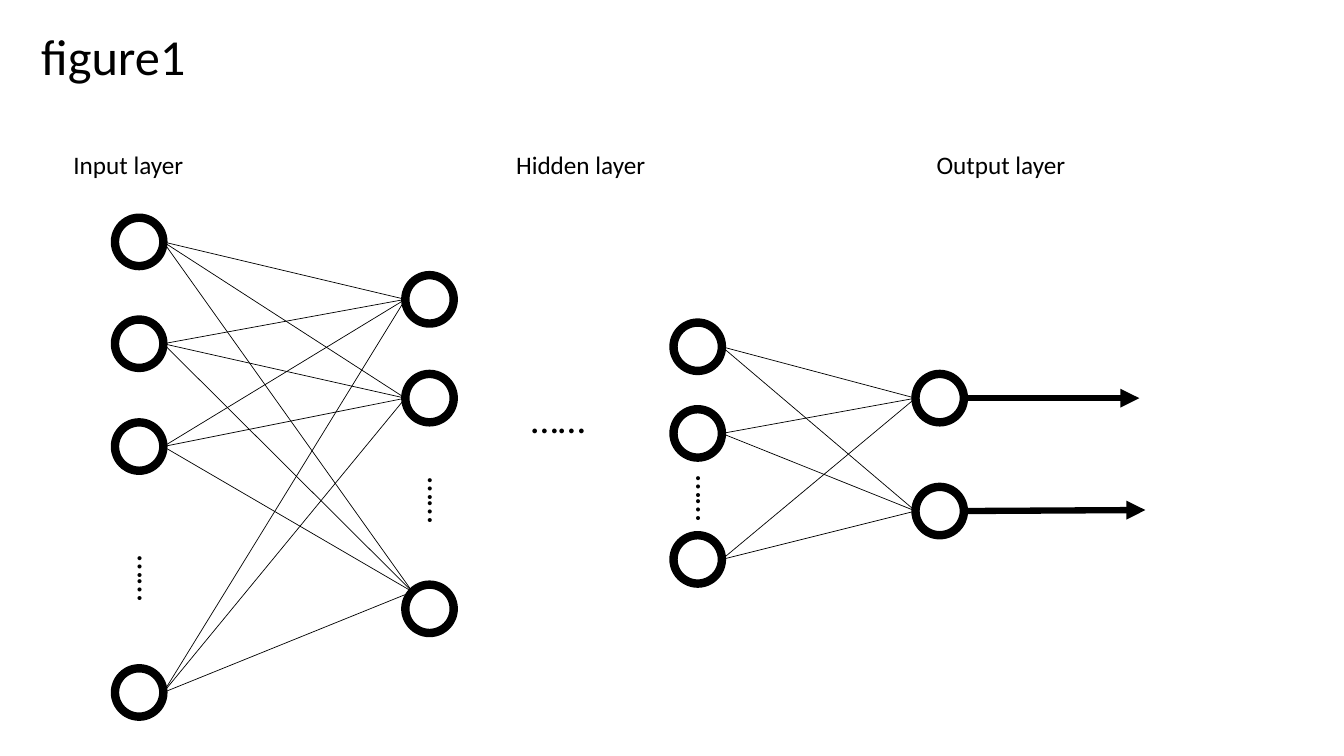
import math

import pptx
import pptx.chart.data
import pptx.dml.color
import pptx.enum.shapes
import pptx.enum.text
import pptx.oxml
import pptx.oxml.ns
import pptx.util

Inches = pptx.util.Inches
Pt = pptx.util.Pt

COLORS = {"ink": "000000"}
FONT = "Calibri"
NODE = 0.48
RADIUS = NODE / 2

# Left edge of each column of nodes and the top of every node in it
LAYERS = {
    "input": (1.14, [2.16, 3.17, 4.19, 6.63]),
    "first hidden": (4.02, [2.73, 3.71, 5.8]),
    "last hidden": (6.68, [3.2, 4.06, 5.31]),
    "output": (9.08, [3.71, 4.83]),
}


class NetworkPage:
    """Holds the style and the current slide."""

    def __init__(self, deck):
        self.page = deck.slides.add_slide(deck.slide_layouts[6])
        self.ink = pptx.dml.color.RGBColor.from_string(COLORS["ink"])

    def node(self, left, top):
        shape = self.page.shapes.add_shape(
            pptx.enum.shapes.MSO_SHAPE.FLOWCHART_CONNECTOR,
            Inches(left), Inches(top), Inches(NODE), Inches(NODE))
        shape.shadow.inherit = False
        shape.fill.background()
        shape.line.color.rgb = self.ink
        shape.line.width = Pt(6)

    def line(self, start, end, width=0.5, arrow=False):
        connector = self.page.shapes.add_connector(
            pptx.enum.shapes.MSO_CONNECTOR.STRAIGHT,
            *[Inches(value) for value in (*start, *end)])
        connector.line.color.rgb = self.ink
        connector.line.width = Pt(width)
        properties = connector._element.spPr
        if arrow:
            head = pptx.oxml.parse_xml(
                f'<a:tailEnd {pptx.oxml.ns.nsdecls("a")} type="triangle"/>')
            properties.find(pptx.oxml.ns.qn("a:ln")).append(head)
        properties.append(pptx.oxml.parse_xml(
            f'<a:effectLst {pptx.oxml.ns.nsdecls("a")}/>'))

    def text(self, words, left, top, width, height, size, vertical=False):
        box = self.page.shapes.add_textbox(
            Inches(left), Inches(top), Inches(width), Inches(height))
        frame = box.text_frame
        frame.word_wrap = True
        frame.auto_size = pptx.enum.text.MSO_AUTO_SIZE.SHAPE_TO_FIT_TEXT
        if vertical:
            frame._txBody.bodyPr.set("vert", "eaVert")
        para = frame.paragraphs[0]
        para.text = words
        para.font.name = FONT
        para.font.size = Pt(size)
        para.font.color.rgb = self.ink


def right_ports(layer):
    left, tops = LAYERS[layer]
    return [(left + NODE, top + RADIUS) for top in tops]


def left_ports(layer):
    left, tops = LAYERS[layer]
    return [(left, top + RADIUS) for top in tops]


def main():
    deck = pptx.Presentation()
    deck.slide_width = Inches(13.33)
    deck.slide_height = Inches(7.5)
    network = NetworkPage(deck)

    # Title and layer names
    network.text("figure1", 0.31, 0.2, 5.51, 0.71, 36)
    for name, left in (("Input layer", 0.63), ("Hidden layer", 5.02),
                       ("Output layer", 9.19)):
        network.text(name, left, 1.43, 1.89, 0.4, 18)

    # Nodes
    for left, tops in LAYERS.values():
        for top in tops:
            network.node(left, top)

    # Links between layers; the lowest hidden node is met at its upper left
    hidden_ports = left_ports("first hidden")
    left, middle = hidden_ports[-1]
    diagonal = RADIUS * math.sqrt(0.5)
    hidden_ports[-1] = (left + RADIUS - diagonal, middle - diagonal)
    for starts, ends in ((right_ports("input"), hidden_ports),
                         (right_ports("last hidden"), left_ports("output"))):
        for start in starts:
            for end in ends:
                network.line(start, end)

    # Output arrows
    for start, end in zip(right_ports("output"), ((11.3, 3.95), (11.36, 5.06))):
        network.line(start, end, width=4.5, arrow=True)

    # Ellipses for the nodes and layers left out
    for left, top in ((1.14, 5.41), (4.02, 4.64), (6.68, 4.62)):
        network.text("……", left, top, 0.61, 0.91, 24, vertical=True)
    network.text("……", 5.17, 3.86, 1.49, 0.57, 28)

    deck.save("out.pptx")


if __name__ == "__main__":
    main()
